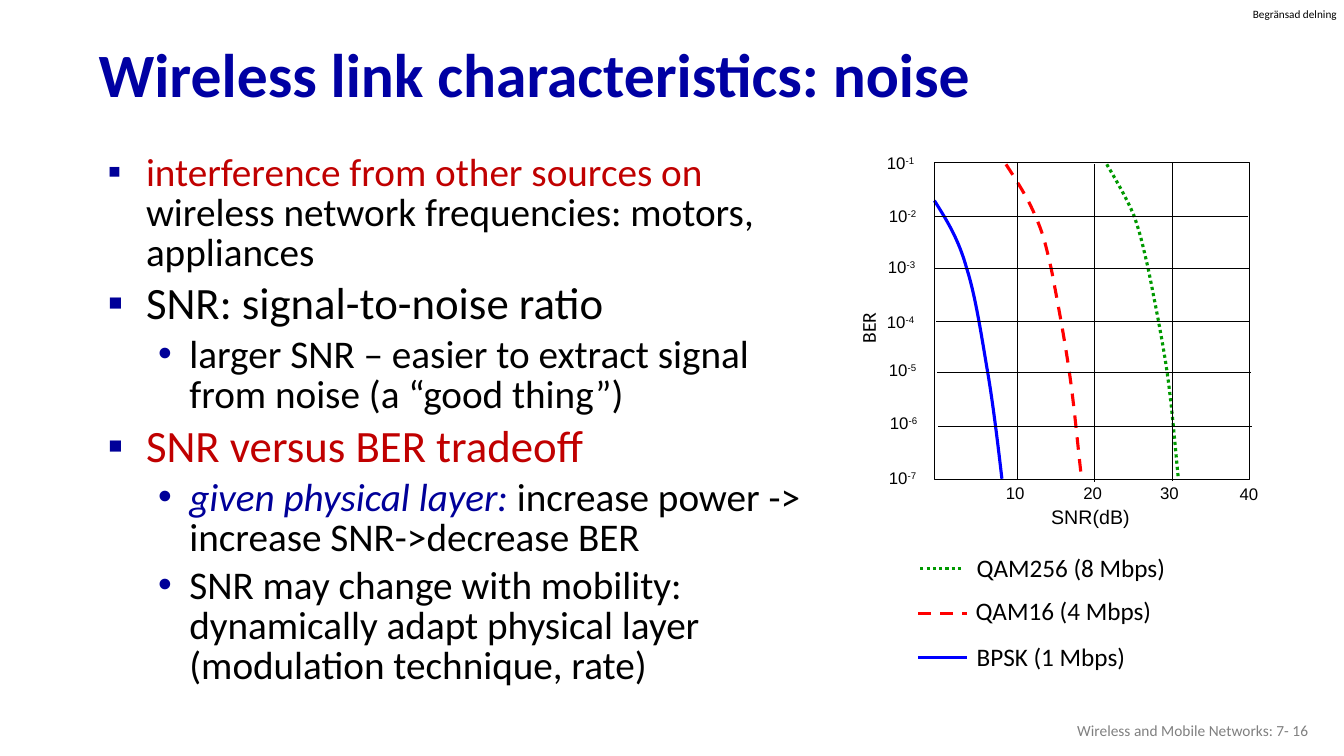
from lxml import etree
from pptx import Presentation
from pptx import util as u
from pptx.dml.color import RGBColor
from pptx.enum import dml, shapes, text
from pptx.oxml import ns

COLORS = {
    "title": "0000A3", "mark": "000099", "key": "C00000", "ink": "000000",
    "foot": "808080", "bpsk": "0000FF", "qam16": "FF0000", "qam256": "009900",
}
DASHES = {"qam16": dml.MSO_LINE.DASH, "qam256": dml.MSO_LINE.ROUND_DOT}

# Each curve is a start point followed by cubic segments (two controls, one end).
CURVES = {
    "bpsk": [(9.27, 1.99), (9.39, 2.18), (9.51, 2.37), (9.59, 2.66),
             (9.68, 2.94), (9.74, 3.35), (9.8, 3.7),
             (9.86, 4.05), (9.92, 4.58), (9.94, 4.75)],
    "qam16": [(9.98, 1.63), (10.09, 1.8), (10.2, 1.97), (10.27, 2.14),
              (10.35, 2.32), (10.37, 2.41), (10.43, 2.67),
              (10.48, 2.93), (10.56, 3.35), (10.61, 3.7),
              (10.66, 4.05), (10.69, 4.4), (10.73, 4.75)],
    "qam256": [(10.98, 1.63), (11.08, 1.8), (11.18, 1.97), (11.25, 2.14),
               (11.31, 2.31), (11.33, 2.4), (11.39, 2.66),
               (11.44, 2.91), (11.53, 3.35), (11.58, 3.7),
               (11.63, 4.05), (11.67, 4.56), (11.69, 4.74)],
}
ROWS = [2.15, 2.66, 3.19, 3.7, 4.23]
COLUMNS = [(10.09, 1.61), (10.86, 1.63), (11.63, 1.62)]
POWERS = [(8.7, 1.47), (8.72, 1.99), (8.71, 2.5), (8.7, 3.04),
          (8.72, 3.52), (8.73, 4.05), (8.72, 4.59)]
TICKS = [(9.88, 4.74), (10.65, 4.74), (11.41, 4.74), (12.2, 4.75)]
# Color, line start, line end, line height, words, text box.
LEGEND = [
    ("qam256", 9.13, 9.56, 5.64, "QAM256 (8 Mbps)", (9.59, 5.43, 2.09, 0.4)),
    ("qam16", 9.11, 9.59, 6.09, "QAM16 (4 Mbps)", (9.58, 5.86, 1.97, 0.4)),
    ("bpsk", 9.11, 9.59, 6.52, "BPSK (1 Mbps)", (9.59, 6.31, 1.69, 0.4)),
]

# Level, size, then runs of (text, color, italic).
POINTS = [
    (0, 28, [("interference from other sources on ", "key", False),
             ("wireless network frequencies: motors, appliances", "ink", False)]),
    (0, 32, [("SNR: signal-to-noise ratio", "ink", False)]),
    (1, 28, [("larger SNR – easier to extract signal from noise (a “good thing”)",
              "ink", False)]),
    (0, 32, [("SNR versus BER tradeoff", "key", False)]),
    (1, 28, [("given physical layer:", "mark", True),
             (" increase power -> increase SNR->decrease BER", "ink", False)]),
    (1, 28, [("SNR may change with mobility: dynamically adapt physical layer "
              "(modulation technique, rate)", "ink", False)]),
]
BULLETS = [("▪", 0.38, -0.38), ("•", 0.81, -0.31)]


class Deck:
    def __init__(self):
        self.prs = Presentation()
        self.prs.slide_width = u.Inches(40 / 3)
        self.prs.slide_height = u.Inches(7.5)
        self.slide = self.prs.slides.add_slide(self.prs.slide_layouts[6])
        self.shapes = self.slide.shapes

    def color(self, name):
        return RGBColor.from_string(COLORS[name])

    def font(self, run, size, color="ink", face="Calibri", bold=False, italic=False):
        font = run.font
        font.name, font.size = face, u.Pt(size)
        font.bold, font.italic = bold, italic
        font.color.rgb = self.color(color)

    def box(self, at, wrap=True):
        box = self.shapes.add_textbox(*map(u.Inches, at))
        box.text_frame.word_wrap = wrap
        if not wrap:
            box.text_frame.auto_size = text.MSO_AUTO_SIZE.SHAPE_TO_FIT_TEXT
        return box

    def label(self, words, at, size, wrap=False, power=None, **style):
        """Add one line of text, with an optional raised power."""
        box = self.box(at, wrap)
        para = box.text_frame.paragraphs[0]
        para.text = words
        if power:
            run = para.add_run()
            run.text = power
            run._r.get_or_add_rPr().set("baseline", "30000")
        for run in para.runs:
            self.font(run, size, **style)
        return box

    def bullets(self, at, points):
        frame = self.box(at).text_frame
        for i, (level, size, runs) in enumerate(points):
            para = frame.add_paragraph() if i else frame.paragraphs[0]
            para.level = level
            self.bullet(para, *BULLETS[level])
            para.line_spacing = 0.85
            if i:
                para.space_before = u.Pt(0.2 * size)
            for words, color, italic in runs:
                run = para.add_run()
                run.text = words
                self.font(run, size, color, italic=italic)

    def bullet(self, para, mark, margin, indent):
        props = para._p.get_or_add_pPr()
        props.set("marL", str(u.Inches(margin)))
        props.set("indent", str(u.Inches(indent)))
        tint = etree.SubElement(props, ns.qn("a:buClr"))
        etree.SubElement(tint, ns.qn("a:srgbClr"), val=COLORS["mark"])
        etree.SubElement(props, ns.qn("a:buFont"), typeface="Arial")
        etree.SubElement(props, ns.qn("a:buChar"), char=mark)

    def stroke(self, line, color, width):
        line.color.rgb = self.color(color)
        line.width = u.Pt(width)
        if color in DASHES:
            line.dash_style = DASHES[color]

    def line(self, start, end, color="ink", width=0.75):
        line = self.shapes.add_connector(
            shapes.MSO_CONNECTOR.STRAIGHT, *map(u.Inches, (*start, *end)))
        self.stroke(line.line, color, width)
        etree.SubElement(line._element.spPr, ns.qn("a:effectLst"))

    def outline(self, shape, color, width):
        shape.shadow.inherit = False
        shape.fill.background()
        self.stroke(shape.line, color, width)

    def frame(self, *at):
        rect = self.shapes.add_shape(shapes.MSO_SHAPE.RECTANGLE, *map(u.Inches, at))
        self.outline(rect, "ink", 0.75)

    def curve(self, points, color):
        """Draw the points as a path, joining each three legs into one cubic."""
        dots = [(u.Inches(x), u.Inches(y)) for x, y in points]
        maker = self.shapes.build_freeform(*dots[0])
        maker.add_line_segments(dots[1:], close=False)
        shape = maker.convert_to_shape()
        legs = list(shape._element.iter(ns.qn("a:lnTo")))
        for i in range(0, len(legs), 3):
            cubic = etree.Element(ns.qn("a:cubicBezTo"))
            legs[i].addprevious(cubic)
            for leg in legs[i:i + 3]:
                cubic.append(leg[0])
                leg.getparent().remove(leg)
        self.outline(shape, color, 2.25)


def main():
    deck = Deck()
    note = deck.label("Begränsad delning", (12.43, 0.07, 0.86, 0.13), 8).text_frame
    note.margin_left = note.margin_right = note.margin_top = note.margin_bottom = 0
    title = deck.label("Wireless link characteristics: noise", (0.88, 0.28, 11.5, 0.98),
                       44, wrap=True, color="title", bold=True).text_frame
    title.vertical_anchor = text.MSO_ANCHOR.MIDDLE
    title.paragraphs[0].line_spacing = 0.9
    foot = deck.label("Wireless and Mobile Networks: 7- 16", (10.08, 7.05, 3, 0.4),
                      11, wrap=True, color="foot").text_frame
    foot.vertical_anchor = text.MSO_ANCHOR.MIDDLE
    foot.paragraphs[0].alignment = text.PP_ALIGN.RIGHT
    deck.bullets((0.97, 1.48, 7.11, 5.68), POINTS)

    for name, points in CURVES.items():
        deck.curve(points, name)
    deck.frame(9.27, 1.61, 3.13, 3.15)
    for i, y in enumerate(ROWS):
        x = 9.27 + 0.01 * i
        deck.line((x, y), (x + 3.11, y))
    for x, y in COLUMNS:
        deck.line((x, y), (x, y + 3.15))

    for i, at in enumerate(TICKS, 1):
        deck.label(str(10 * i), (*at, 0.39, 0.3), 12, face="Arial")
    for i, at in enumerate(POWERS, 1):
        deck.label("10", (*at, 0.48, 0.3), 12, power=f"-{i}", face="Arial")
    deck.label("SNR(dB)", (10.33, 4.96, 0.98, 0.33), 14, face="Arial")
    deck.label("BER", (8.35, 3.07, 0.53, 0.34), 14).rotation = 270

    for name, left, right, y, words, at in LEGEND:
        deck.line((left, y), (right, y), name, 2.25)
        deck.label(words, at, 18)
    deck.prs.save("out.pptx")


if __name__ == "__main__":
    main()
